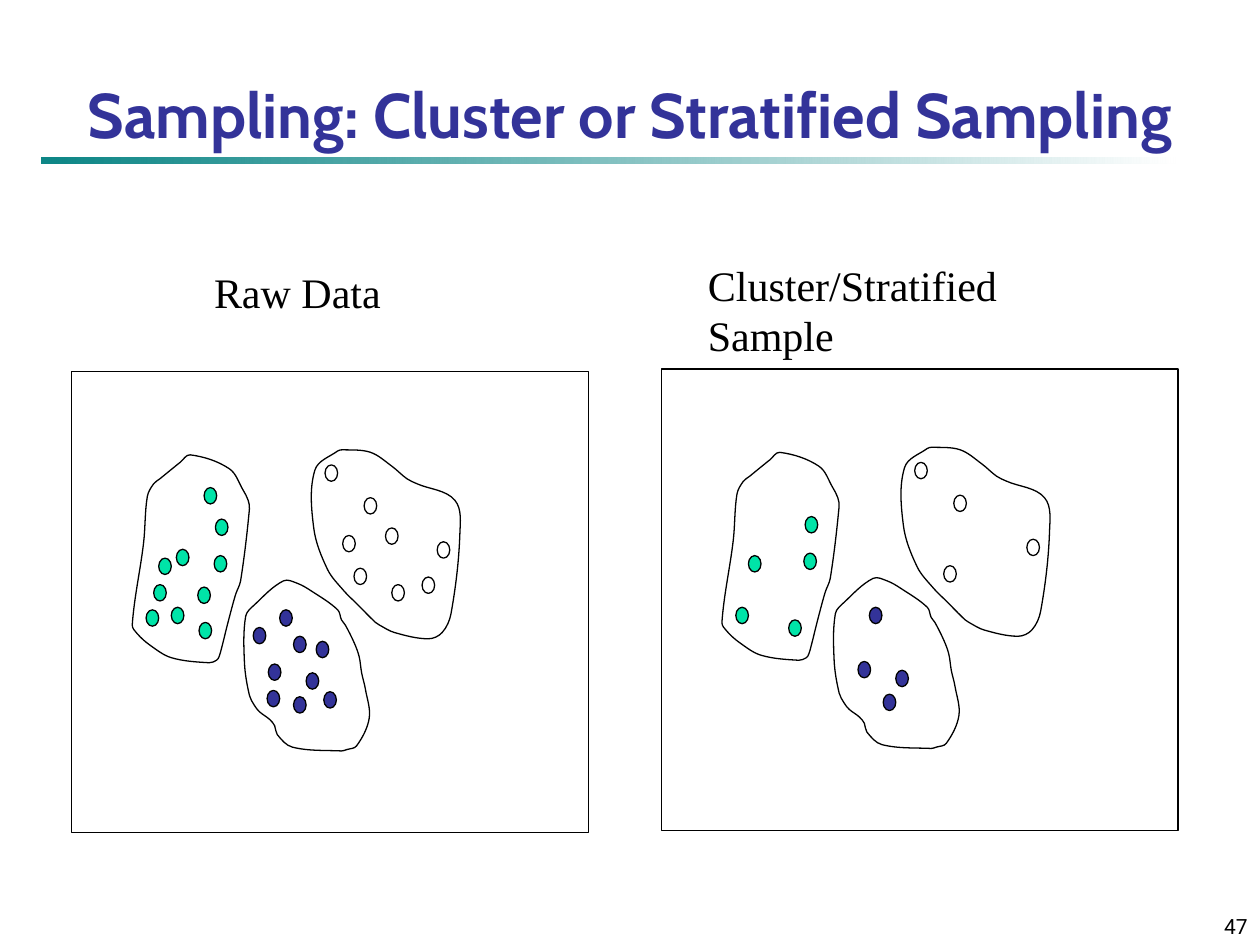
import math
from collections import namedtuple

from lxml import etree
from pptx import Presentation
from pptx import util as u
from pptx.dml.color import RGBColor
from pptx.enum import shapes, text
from pptx.oxml.ns import qn

COLORS = {"black": "000000", "white": "FFFFFF", "navy": "333399", "mint": "00E4A8", "teal": "008080"}
COLUMNS, ROWS = 410, 366
DOT = (10, 13)

Box = namedtuple("Box", "left top width height")
Cluster = namedtuple("Cluster", "color outline sampled others")

CLUSTERS = [
    Cluster(
        "white",
        [(304, 102), (308, 129), (301, 192), (294, 207), (283, 212), (256, 207), (244, 201),
         (241, 199), (226, 184), (216, 174), (203, 157), (192, 124), (193, 78), (211, 63),
         (215, 62), (237, 64), (254, 75), (266, 85), (274, 89)],
        [(232, 100), (224, 156), (290, 135), (201, 74)],
        [(249, 124), (215, 130), (278, 163), (254, 169)],
    ),
    Cluster(
        "navy",
        [(161, 281), (157, 276), (149, 270), (145, 265), (141, 257), (137, 231), (138, 194),
         (145, 185), (168, 166), (179, 168), (190, 174), (211, 189), (214, 197), (217, 201),
         (224, 215), (228, 226), (230, 239), (233, 252), (236, 275), (226, 297), (218, 300),
         (214, 301), (175, 298), (163, 288)],
        [(176, 258), (186, 239), (156, 232), (165, 189)],
        [(144, 203), (194, 214), (155, 253), (176, 210), (200, 254)],
    ),
    Cluster(
        "mint",
        [(130, 177), (124, 199), (119, 219), (117, 226), (115, 229), (109, 231), (79, 227),
         (62, 217), (52, 208), (48, 201), (57, 136), (60, 99), (65, 89), (70, 85), (81, 76),
         (86, 72), (94, 66), (125, 77), (136, 94), (140, 102), (141, 109), (134, 166)],
        [(59, 189), (69, 148), (101, 199), (113, 146), (114, 117)],
        [(79, 187), (65, 169), (100, 171), (83, 141), (105, 92)],
    ),
]


def color(name):
    """Return the named colour."""
    return RGBColor.from_string(COLORS[name])


def place(shape, box):
    """Move and size a shape to a box in inches."""
    shape.left, shape.top, shape.width, shape.height = (u.Inches(value) for value in box)


def outline_style(shape, fill=None):
    """Give a shape a thin black line and an optional fill."""
    shape.shadow.inherit = False
    shape.line.color.rgb = color("black")
    shape.line.width = u.Pt(0.75)
    if fill:
        shape.fill.solid()
        shape.fill.fore_color.rgb = color(fill)
    else:
        shape.fill.background()


def write(shape, words, font, size, tint="black", align=text.PP_ALIGN.LEFT, bold=False):
    """Write one formatted paragraph."""
    frame = shape.text_frame
    frame.word_wrap = True
    para = frame.paragraphs[0]
    para.text = words
    para.alignment = align
    para.font.name, para.font.size, para.font.bold = font, u.Pt(size), bold
    para.font.color.rgb = color(tint)


def bend(outline, points):
    """Turn the straight sides of a closed freeform into smooth Bezier curves."""
    count = len(points)

    def handle(index, reach):
        """Return the control point at a signed distance along the tangent."""
        before, after = points[index - 1], points[(index + 1) % count]
        share = reach / math.dist(before, after)
        return [p + (b - a) * share for p, a, b in zip(points[index], before, after)]

    for index, side in enumerate(list(outline._element.iter(qn("a:lnTo")))):
        following = (index + 1) % count
        reach = math.dist(points[index], points[following]) / 3
        side.tag = qn("a:cubicBezTo")
        for position, (x, y) in enumerate((handle(index, reach), handle(following, -reach))):
            control = etree.Element(qn("a:pt"), x=str(round(x - outline.left)),
                                    y=str(round(y - outline.top)))
            side.insert(position, control)


def add_header(page, box):
    """Place the title in the box and the fading rule under it."""
    title = page.shapes.title
    place(title, box)
    title.text_frame.vertical_anchor = text.MSO_ANCHOR.BOTTOM
    write(title, "Sampling: Cluster or Stratified Sampling", "Cabin", 36, "navy",
          text.PP_ALIGN.CENTER, True)
    rule = page.shapes.add_shape(shapes.MSO_SHAPE.RECTANGLE, 0, 0, 0, 0)
    place(rule, Box(box.left + 0.08, box.top + box.height, 9, 0.05))
    rule.shadow.inherit = False
    rule.line.fill.background()
    rule.fill.gradient()
    rule.fill.gradient_angle = 0
    for stop, name, position in zip(rule.fill.gradient_stops, ("teal", "white"), (0, 1)):
        stop.color.rgb = color(name)
        stop.position = position
    teal = rule._element.spPr.find(".//" + qn("a:srgbClr"))
    etree.SubElement(teal, qn("a:alpha"), val="95000")


def add_panel(page, box, sampled_only):
    """Draw a frame with three clusters and all or only the sampled dots."""
    column, row = box.width / COLUMNS, box.height / ROWS
    frame = page.shapes.add_shape(shapes.MSO_SHAPE.RECTANGLE, 0, 0, 0, 0)
    place(frame, box)
    outline_style(frame)
    for cluster in CLUSTERS:
        for x, y in cluster.sampled + ([] if sampled_only else cluster.others):
            dot = page.shapes.add_shape(shapes.MSO_SHAPE.FLOWCHART_CONNECTOR, 0, 0, 0, 0)
            place(dot, Box(box.left + x * column, box.top + y * row, DOT[0] * column, DOT[1] * row))
            outline_style(dot, cluster.color)
        points = [(u.Inches(box.left + x * column), u.Inches(box.top + y * row))
                  for x, y in cluster.outline]
        builder = page.shapes.build_freeform(*points[0])
        builder.add_line_segments(points[1:] + points[:1], close=True)
        outline = builder.convert_to_shape()
        outline_style(outline)
        bend(outline, points)


def add_label(page, box, words):
    """Write the heading of a panel."""
    label = page.shapes.add_textbox(0, 0, 0, 0)
    place(label, box)
    write(label, words, "Times New Roman", 24)


def add_page_number(page, box):
    """Write the page number at the bottom right of the box."""
    number = page.shapes.add_textbox(0, 0, 0, 0)
    place(number, box)
    number.text_frame.vertical_anchor = text.MSO_ANCHOR.BOTTOM
    write(number, "47", "Roboto", 12, align=text.PP_ALIGN.RIGHT)


def main():
    """Build the slide and save the deck."""
    deck = Presentation()
    deck.slide_width, deck.slide_height = u.Inches(10), u.Inches(7.5)
    page = deck.slides.add_slide(deck.slide_layouts[5])
    add_header(page, Box(0.25, 0.33, 9.5, 0.92))
    add_page_number(page, Box(7.92, 7.08, 2.08, 0.42))
    add_panel(page, Box(0.57, 2.95, 4.1, 3.66), sampled_only=False)
    add_panel(page, Box(5.25, 2.93, 4.1, 3.66), sampled_only=True)
    add_label(page, Box(1.6, 2.07, 1.61, 0.5), "Raw Data")
    add_label(page, Box(5.52, 2.01, 3.5, 0.5), "Cluster/Stratified Sample")
    deck.save("out.pptx")


if __name__ == "__main__":
    main()
